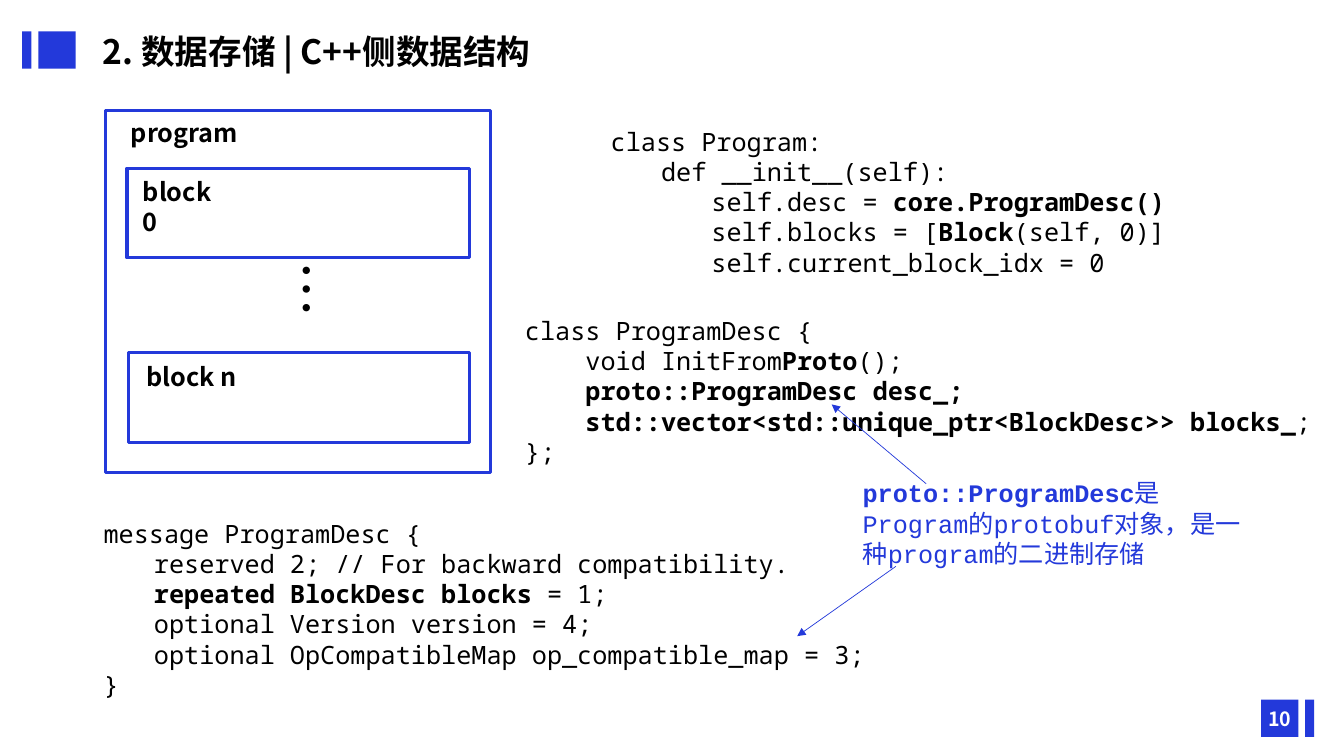
from lxml.etree import SubElement
from pptx import Presentation
from pptx.dml.color import RGBColor
from pptx.enum.shapes import MSO_CONNECTOR, MSO_SHAPE
from pptx.enum.text import MSO_ANCHOR, MSO_AUTO_SIZE, PP_ALIGN
from pptx.oxml.ns import qn
from pptx.util import Cm, Pt

BLUE, BLACK, WHITE = "2339DA", "000000", "FFFFFF"
SANS, MONO, COURIER = "Noto Sans CJK SC", "Noto Sans Mono", "Courier New"

# Each code line: indent level, then plain and bold pieces in turn
PROGRAM_CLASS = [
    (0, "class Program:"),
    (1, "def __init__(self):"),
    (2, "self.desc = ", "core.ProgramDesc()"),
    (2, "self.blocks = [", "Block", "(self, 0)]"),
    (2, "self.current_block_idx = 0"),
]
DESC_CLASS = [
    (0, "class ProgramDesc {"),
    (0, "    void InitFrom", "Proto", "();"),
    (0, "    ", "proto::ProgramDesc desc_;"),
    (0, "    ", "std::vector<std::unique_ptr<BlockDesc>> blocks_", ";"),
    (0, "};"),
]
DESC_MESSAGE = [
    (0, "message ProgramDesc {"),
    (1, "reserved 2; // For backward compatibility."),
    (1, "", "repeated BlockDesc blocks ", "= 1;"),
    (1, "optional Version version = 4;"),
    (1, "optional OpCompatibleMap op_compatible_map = 3;"),
    (0, "}"),
]
PROTO_NOTE = [
    (0, "", "proto::ProgramDesc", "是Program的protobuf对象，是一种program的二进制存储"),
]


def rgb(color):
    return RGBColor.from_string(color)


def lengths(*values):
    return [Cm(value) for value in values]


def style(paragraph, size, typeface, color, bold=None):
    font = paragraph.font
    font.size, font.name, font.bold = Pt(size), typeface, bold
    font.color.rgb = rgb(color)
    east_asian = SANS if typeface == COURIER else typeface
    properties = paragraph._p.pPr.find(qn("a:defRPr"))
    SubElement(properties, qn("a:ea"), typeface=east_asian)


def add_bar(shapes, *box):
    bar = shapes.add_shape(MSO_SHAPE.RECTANGLE, *lengths(*box))
    bar.shadow.inherit = False
    bar.fill.solid()
    bar.fill.fore_color.rgb = rgb(BLUE)
    bar.line.fill.background()


def add_frame(shapes, *box):
    frame = shapes.add_shape(MSO_SHAPE.RECTANGLE, *lengths(*box))
    frame.shadow.inherit = False
    frame.fill.background()
    frame.line.color.rgb = rgb(BLUE)
    frame.line.width = Pt(2.25)


def add_label(shapes, text, box, size=18, color=BLACK, bold=True, align=PP_ALIGN.LEFT):
    text_frame = shapes.add_textbox(*lengths(*box)).text_frame
    text_frame.word_wrap = True
    paragraph = text_frame.paragraphs[0]
    paragraph.text = text
    paragraph.alignment = align
    style(paragraph, size, SANS, color, bold)
    return text_frame


def add_code(shapes, lines, box, typeface=MONO, color=BLACK):
    text_frame = shapes.add_textbox(*lengths(*box)).text_frame
    text_frame.word_wrap = True
    for number, (level, *pieces) in enumerate(lines):
        paragraph = text_frame.add_paragraph() if number else text_frame.paragraphs[0]
        paragraph.level = level
        for position, piece in enumerate(pieces):
            if piece:
                run = paragraph.add_run()
                run.text = piece
                run.font.bold = position % 2 == 1
        style(paragraph, 18, typeface, color)


def add_arrow(shapes, *ends):
    arrow = shapes.add_connector(MSO_CONNECTOR.STRAIGHT, *lengths(*ends))
    arrow.line.color.rgb = rgb(BLUE)
    arrow.line.width = Pt(0.5)
    SubElement(arrow.line._get_or_add_ln(), qn("a:tailEnd"), type="triangle")
    SubElement(arrow._element.spPr, qn("a:effectLst"))


def set_title(title, text):
    title.left, title.top, title.width, title.height = lengths(2.34, 0.97, 23.55, 0.74)
    title.text_frame.auto_size = MSO_AUTO_SIZE.NONE
    title.text_frame.vertical_anchor = MSO_ANCHOR.MIDDLE
    heading = title.text_frame.paragraphs[0]
    heading.text = text
    heading.alignment = PP_ALIGN.LEFT
    heading.line_spacing = 0.9
    style(heading, 24, SANS, BLACK, True)


def add_program_diagram(shapes):
    diagram = shapes.add_group_shape().shapes
    add_frame(diagram, 2.67, 2.79, 9.7, 9.12)
    add_label(diagram, "program", (3.05, 2.84, 7.04, 1.02))
    add_frame(diagram, 3.2, 4.24, 8.64, 2.26)
    add_label(diagram, "block 0", (3.35, 4.32, 2.64, 1.02))
    add_frame(diagram, 3.25, 8.89, 8.59, 2.26)
    add_label(diagram, "block n", (3.45, 8.97, 2.97, 1.02))
    dots = add_label(diagram, "…", (7.47, 6.35, 1.27, 2.54), 40, bold=False,
                     align=PP_ALIGN.CENTER)
    dots._txBody.bodyPr.set("vert", "eaVert")


def main():
    deck = Presentation()
    deck.slide_width, deck.slide_height = lengths(33.87, 19.05)
    slide = deck.slides.add_slide(deck.slide_layouts[5])
    shapes = slide.shapes

    # Header and page number
    for left, top, width in [(0.97, 0.79, 0.94), (0.56, 0.79, 0.23),
                             (31.78, 17.63, 0.94), (32.89, 17.63, 0.23)]:
        add_bar(shapes, left, top, width, 0.94)
    page = add_label(shapes, "10", (31.57, 17.6, 1.37, 1.02), 14, WHITE,
                     align=PP_ALIGN.CENTER)
    page.vertical_anchor = MSO_ANCHOR.MIDDLE
    set_title(shapes.title, "2. 数据存储 | C++侧数据结构")

    # Program structure
    add_program_diagram(shapes)

    # Code and its note
    add_code(shapes, PROGRAM_CLASS, (15.14, 3.05, 15.8, 4.11))
    add_code(shapes, DESC_CLASS, (12.98, 7.82, 21.79, 4.11))
    add_code(shapes, DESC_MESSAGE, (2.36, 12.93, 21.23, 4.88))
    add_code(shapes, PROTO_NOTE, (21.49, 11.91, 10.21, 2.57), COURIER, BLUE)

    # Arrows from the note to the code
    add_arrow(shapes, 23.34, 12.19, 20.96, 10.19)
    add_arrow(shapes, 22.58, 14.27, 20.09, 16.03)

    deck.save("out.pptx")


if __name__ == "__main__":
    main()
